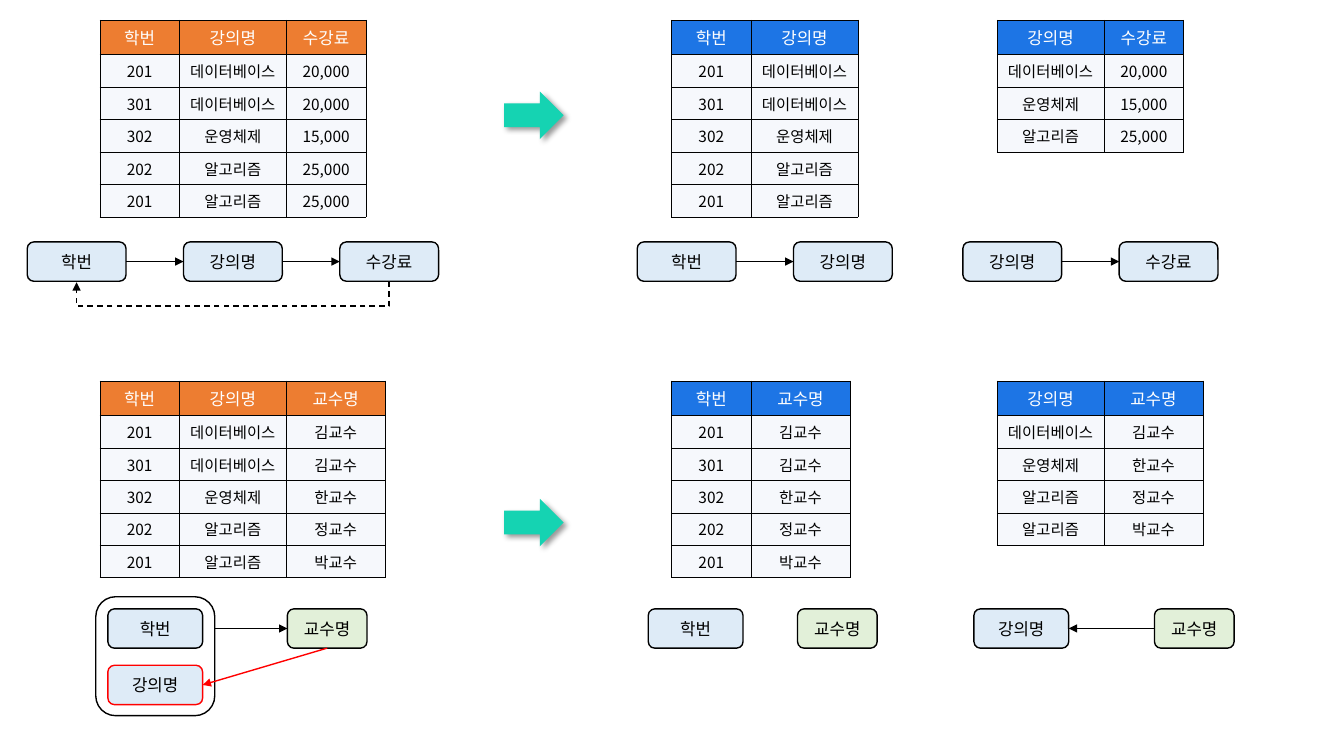
from dataclasses import dataclass

from lxml import etree
from pptx import Presentation
from pptx.dml.color import RGBColor
from pptx.enum.dml import MSO_LINE
from pptx.enum.shapes import MSO_CONNECTOR, MSO_SHAPE
from pptx.enum.text import MSO_ANCHOR, PP_ALIGN
from pptx.oxml import parse_xml
from pptx.oxml.ns import nsdecls, qn
from pptx.util import Inches, Pt

ROUNDED, BLOCK_ARROW = MSO_SHAPE.ROUNDED_RECTANGLE, MSO_SHAPE.RIGHT_ARROW
STRAIGHT, ELBOW = MSO_CONNECTOR.STRAIGHT, MSO_CONNECTOR.ELBOW
CENTER, MIDDLE, DASH = PP_ALIGN.CENTER, MSO_ANCHOR.MIDDLE, MSO_LINE.DASH
LEFT_SITE, BOTTOM_SITE, RIGHT_SITE = 1, 2, 3


@dataclass(frozen=True)
class Theme:
    """Colours, font and sizes of the slide."""
    font: str = "Noto Sans CJK KR"
    label_size: float = 12
    cell_size: float = 11
    line_width: float = 1
    border_width: float = 0.5
    black: str = "000000"
    white: str = "FFFFFF"
    red: str = "FF0000"
    orange: str = "ED7D31"
    blue: str = "1D75E5"
    cell: str = "F6F8FC"
    key: str = "DEEBF7"
    professor: str = "E2F0D9"
    block_arrow: str = "15D3B2"


THEME = Theme()
ROW_HEIGHT = 0.31
BOX_HEIGHT = 0.39
CHAIN_WIDTH, CHAIN_STEP, CHAIN_TOP = 0.98, 1.55, 2.4
KEY_WIDTH, PROFESSOR_WIDTH, BOX_TOP = 0.94, 0.79, 6.04
DETOUR_DEPTH, DETOUR_SPAN = 0.25, 0.01
COLUMN_WIDTHS = {"학번": 0.79, "강의명": 1.06, "수강료": 0.79, "교수명": 0.98}

FEES = [
    ("학번", "강의명", "수강료"),
    ("201", "데이터베이스", "20,000"),
    ("301", "데이터베이스", "20,000"),
    ("302", "운영체제", "15,000"),
    ("202", "알고리즘", "25,000"),
    ("201", "알고리즘", "25,000"),
]
TEACHING = [
    ("학번", "강의명", "교수명"),
    ("201", "데이터베이스", "김교수"),
    ("301", "데이터베이스", "김교수"),
    ("302", "운영체제", "한교수"),
    ("202", "알고리즘", "정교수"),
    ("201", "알고리즘", "박교수"),
]


def project(rows, *columns):
    """Keep the named columns and drop repeated rows."""
    indexes = [rows[0].index(column) for column in columns]
    return list(dict.fromkeys(tuple(row[index] for index in indexes) for row in rows))


def apply_format(target, **values):
    """Set each given value on the target."""
    for name, value in values.items():
        setattr(target, name, value)


def set_fill(fill, color):
    """Give a solid fill."""
    fill.solid()
    fill.fore_color.rgb = RGBColor.from_string(color)


def set_line(line, color):
    """Give a solid outline of the theme width."""
    set_fill(line.fill, color)
    line.width = Pt(THEME.line_width)


def write_text(text_frame, text, size, color):
    """Write one centred run in the theme font."""
    paragraph = text_frame.paragraphs[0]
    paragraph.alignment = CENTER
    run = paragraph.add_run()
    run.text = text
    apply_format(run.font, name=THEME.font, size=Pt(size), bold=False)
    run.font.color.rgb = RGBColor.from_string(color)
    east_asian = etree.SubElement(run.font._element, qn("a:ea"))
    east_asian.set("typeface", THEME.font)


def add_box(shapes, left, top, width, text, fill=THEME.key, line=THEME.black):
    """Add a rounded attribute box."""
    box = shapes.add_shape(ROUNDED, Inches(left), Inches(top), Inches(width), Inches(BOX_HEIGHT))
    box.shadow.inherit = False
    set_fill(box.fill, fill)
    set_line(box.line, line)
    apply_format(box.text_frame, word_wrap=True, vertical_anchor=MIDDLE)
    write_text(box.text_frame, text, THEME.label_size, THEME.black)
    return box


def add_professor(shapes, left):
    """Add the green professor box."""
    return add_box(shapes, left, BOX_TOP, PROFESSOR_WIDTH, "교수명", THEME.professor)


def add_frame(shapes, left, top, size):
    """Add the unfilled frame around a composite key."""
    frame = shapes.add_shape(ROUNDED, Inches(left), Inches(top), Inches(size), Inches(size))
    frame.shadow.inherit = False
    frame.fill.background()
    set_line(frame.line, THEME.black)
    return frame


def add_arrow(shapes, end, begin=None, start=(0, 0), color=THEME.black, kind=STRAIGHT, dash=None):
    """Add an arrow to a box site, from another box site or a free point."""
    arrow = shapes.add_connector(kind, *start, 0, 0)
    if begin:
        arrow.begin_connect(*begin)
    arrow.end_connect(*end)
    set_line(arrow.line, color)
    if dash:
        arrow.line.dash_style = dash
    properties = arrow._element.spPr
    etree.SubElement(properties.find(qn("a:ln")), qn("a:tailEnd")).set("type", "triangle")
    etree.SubElement(properties, qn("a:effectLst"))
    return arrow


def add_detour(shapes, first, last):
    """Add a dashed elbow arrow running below the boxes."""
    arrow = add_arrow(shapes, (last, BOTTOM_SITE), (first, BOTTOM_SITE), kind=ELBOW, dash=DASH)
    span, reach = Inches(DETOUR_SPAN), last.left - first.left
    center = first.left + first.width // 2 + reach // 2
    middle = first.top + first.height + span // 2
    apply_format(arrow, left=center - span // 2, top=middle - reach // 2, width=span, height=reach)
    properties = arrow._element.spPr
    transform = properties.find(qn("a:xfrm"))
    transform.set("rot", str(270 * 60000))
    transform.set("flipH", "1")
    guide = etree.SubElement(properties.find(qn("a:prstGeom")).find(qn("a:avLst")), qn("a:gd"))
    guide.set("name", "adj1")
    guide.set("fmla", f"val {round(DETOUR_DEPTH / DETOUR_SPAN * 100000)}")


def add_chain(slide, left, labels):
    """Add a group of boxes joined by arrows and return the boxes."""
    shapes = slide.shapes.add_group_shape().shapes
    boxes = [add_box(shapes, left + index * CHAIN_STEP, CHAIN_TOP, CHAIN_WIDTH, label)
             for index, label in enumerate(labels)]
    for before, after in zip(boxes, boxes[1:]):
        add_arrow(shapes, (after, LEFT_SITE), (before, RIGHT_SITE))
    return shapes, boxes


def add_block_arrow(shapes, top):
    """Add a turquoise block arrow with a soft shadow."""
    arrow = shapes.add_shape(BLOCK_ARROW, Inches(5), Inches(top), Inches(0.59), Inches(0.47))
    set_fill(arrow.fill, THEME.block_arrow)
    arrow.line.fill.background()
    arrow.shadow.inherit = False
    arrow._element.spPr.find(qn("a:effectLst")).append(parse_xml(
        f'<a:outerShdw {nsdecls("a")} blurRad="{Pt(4)}" dist="{Pt(3)}" dir="2700000" algn="tl" '
        f'rotWithShape="0"><a:srgbClr val="{THEME.black}"><a:alpha val="40000"/></a:srgbClr>'
        '</a:outerShdw>'))


def format_cell(cell, text, fill, size, color):
    """Give a cell its borders, fill and text."""
    for side in ("lnL", "lnR", "lnT", "lnB"):
        cell._tc.get_or_add_tcPr().append(parse_xml(
            f'<a:{side} {nsdecls("a")} w="{Pt(THEME.border_width)}"><a:solidFill>'
            f'<a:srgbClr val="{THEME.black}"/></a:solidFill></a:{side}>'))
    set_fill(cell.fill, fill)
    cell.vertical_anchor = MIDDLE
    write_text(cell.text_frame, text, size, color)


def add_relation(shapes, left, top, rows, header_fill):
    """Add a relation as a table with a coloured header row."""
    widths = [COLUMN_WIDTHS[name] for name in rows[0]]
    table = shapes.add_table(len(rows), len(widths), Inches(left), Inches(top),
                             Inches(sum(widths)), Inches(ROW_HEIGHT * len(rows))).table
    for column, width in zip(table.columns, widths):
        column.width = Inches(width)
    header = (header_fill, THEME.label_size, THEME.white)
    body = (THEME.cell, THEME.cell_size, THEME.black)
    for row_index, row in enumerate(rows):
        for column_index, text in enumerate(row):
            format_cell(table.cell(row_index, column_index), text, *(body if row_index else header))


def main():
    """Build the normalization slide."""
    presentation = Presentation()
    apply_format(presentation, slide_width=Inches(13.33), slide_height=Inches(7.5))
    slide = presentation.slides.add_slide(presentation.slide_layouts[6])
    shapes = slide.shapes

    splits = [(0.2, FEES, ("학번", "강의명"), ("강의명", "수강료"), 0.91),
              (3.78, TEACHING, ("학번", "교수명"), ("강의명", "교수명"), 4.95)]
    for top, rows, first, second, arrow_top in splits:
        add_relation(shapes, 0.99, top, rows, THEME.orange)
        add_relation(shapes, 6.66, top, project(rows, *first), THEME.blue)
        add_relation(shapes, 9.89, top, project(rows, *second), THEME.blue)
        add_block_arrow(shapes, arrow_top)

    group, boxes = add_chain(slide, 0.27, FEES[0])
    add_detour(group, boxes[0], boxes[-1])
    add_chain(slide, 6.32, ("학번", "강의명"))
    add_chain(slide, 9.55, ("강의명", "수강료"))

    frame = add_frame(shapes, 0.95, 5.92, 1.18)
    student = add_box(shapes, 1.07, BOX_TOP, KEY_WIDTH, "학번")
    course = add_box(shapes, 1.07, 6.6, KEY_WIDTH, "강의명", line=THEME.red)
    professor = add_professor(shapes, 2.85)
    start = (frame.left + frame.width, student.top + student.height // 2)
    add_arrow(shapes, (professor, LEFT_SITE), start=start)
    add_arrow(shapes, (course, RIGHT_SITE), (professor, BOTTOM_SITE), color=THEME.red)

    add_box(shapes, 6.43, BOX_TOP, KEY_WIDTH, "학번")
    add_professor(shapes, 7.91)
    taught = add_box(shapes, 9.66, BOX_TOP, KEY_WIDTH, "강의명")
    add_arrow(shapes, (taught, RIGHT_SITE), (add_professor(shapes, 11.45), LEFT_SITE))
    presentation.save("out.pptx")


if __name__ == "__main__":
    main()
